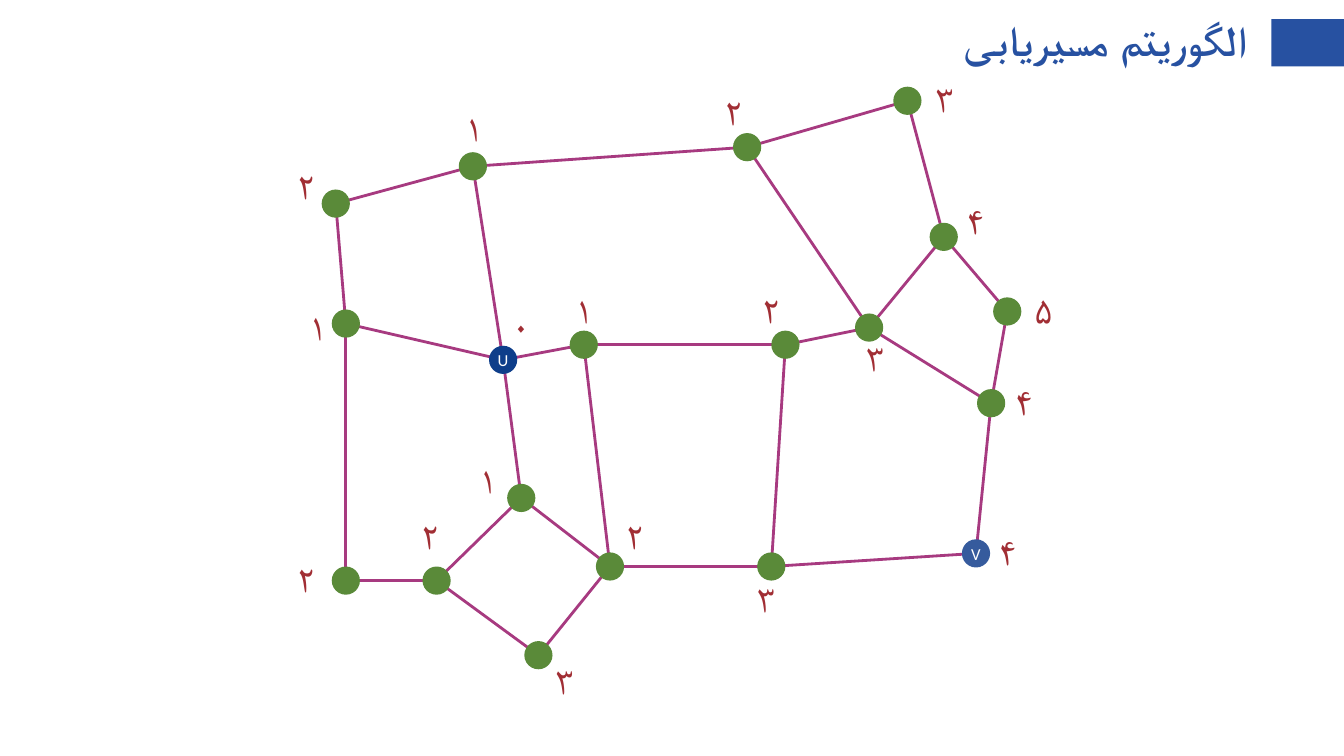
import pptx
import pptx.util
import pptx.dml.color
import pptx.enum.shapes
import pptx.enum.text
import pptx.oxml
import pptx.oxml.ns

# Content: positions are columns and rows of a grid with 0.1 inch cells
TITLE = "الگوریتم مسیریابی"
GREEN, BLUE, NAVY, SOFT_BLUE = "5A8A39", "2751A1", "0E3E8A", "365B9D"
PURPLE, RED, WHITE = "A73A80", "A12E34", "FFFFFF"

# name: (column, row, distance from U, label column offset, label row offset)
NODES = {
    "right": (98.3, 40, "۴", 3.3, 0),
    "hub": (86.2, 32.5, "۳", 0.6, 3.2),
    "upper middle": (74.1, 14.6, "۲", -1.3, -3.3),
    "north": (46.9, 16.5, "۱", 0.1, -3.6),
    "top": (90, 10, "۳", 3.7, 0),
    "upper right": (93.6, 23.5, "۴", 3.2, -1.4),
    "northwest": (33.3, 20.2, "۲", -2.9, -1.6),
    "far right": (99.9, 30.9, "۵", 3.6, 0),
    "southeast": (60.5, 56.2, "۲", 2.5, -2.9),
    "lower middle": (76.5, 56.2, "۳", -0.5, 3.4),
    "middle": (77.9, 34.2, "۲", -1.4, -3.3),
    "east": (57.9, 34.2, "۱", 0, -3.3),
    "west": (34.3, 32.1, "۱", -2.8, 0.5),
    "southwest": (34.3, 57.6, "۲", -3.9, 0),
    "south": (51.7, 49.4, "۱", -3.3, -1.6),
    "inner southwest": (43.3, 57.6, "۲", -0.6, -4.3),
    "bottom": (53.4, 65, "۳", 2.6, 2.7),
    "U": (49.9, 35.7, "۰", 1.8, -3.1),
    "V": (96.8, 54.9, "۴", 3.2, 0),
}
ENDPOINT_FILLS = {"U": NAVY, "V": SOFT_BLUE}

# Each chain lists the nodes along a run of edges
CHAINS = [
    ("U", "north", "northwest", "west", "U"),
    ("north", "upper middle", "top", "upper right", "hub", "upper middle"),
    ("U", "east", "middle", "hub", "right", "V", "lower middle", "southeast"),
    ("upper right", "far right", "right"),
    ("middle", "lower middle"),
    ("east", "southeast", "south", "U"),
    ("southeast", "bottom", "inner southwest", "south"),
    ("west", "southwest", "inner southwest"),
]
NODE_SIZE = 2.8
LABEL_SIZE = (4, 6.6)


def cells(count):
    return pptx.util.Inches(count * 0.1)


def colour(value):
    return pptx.dml.color.RGBColor.from_string(value)


def box_around(column, row, width, height):
    return [cells(v) for v in (column - width / 2, row - height / 2, width, height)]


def add_filled(slide, kind, box, fill):
    shape = slide.shapes.add_shape(kind, *box)
    shape.shadow.inherit = False
    shape.fill.solid()
    shape.fill.fore_color.rgb = colour(fill)
    shape.line.fill.background()
    return shape


def write(shape, text, size, font, fill, align, inset=0.5, wrap=True):
    frame = shape.text_frame
    frame.auto_size = pptx.enum.text.MSO_AUTO_SIZE.NONE
    frame.word_wrap = wrap
    frame.vertical_anchor = pptx.enum.text.MSO_ANCHOR.MIDDLE
    frame.margin_left = frame.margin_right = cells(inset)
    frame.margin_top = frame.margin_bottom = cells(inset)
    paragraph = frame.paragraphs[0]
    paragraph.alignment = align
    run = paragraph.add_run()
    run.text = text
    run.font.size = pptx.util.Pt(size)
    run.font.name = font
    run.font.color.rgb = colour(fill)
    # Arabic script takes its typeface from the complex-script setting
    complex_font = pptx.oxml.parse_xml(
        f'<a:cs {pptx.oxml.ns.nsdecls("a")} typeface="{font}"/>')
    run.font._element.append(complex_font)
    return paragraph


def space(paragraph):
    paragraph.line_spacing = 0.9
    paragraph.space_before = pptx.util.Pt(9)


def add_edge(slide, start, end):
    points = [cells(v) for v in NODES[start][:2] + NODES[end][:2]]
    edge = slide.shapes.add_connector(
        pptx.enum.shapes.MSO_CONNECTOR.STRAIGHT, *points)
    edge.line.color.rgb = colour(PURPLE)
    edge.line.width = pptx.util.Pt(2)
    edge._element.spPr.append(pptx.oxml.parse_xml(
        f'<a:effectLst {pptx.oxml.ns.nsdecls("a")}/>'))


def main():
    presentation = pptx.Presentation()
    presentation.slide_width = pptx.util.Inches(13.33)
    presentation.slide_height = pptx.util.Inches(7.5)
    slide = presentation.slides.add_slide(presentation.slide_layouts[5])
    shape_kind = pptx.enum.shapes.MSO_SHAPE
    align = pptx.enum.text.PP_ALIGN

    # Title and the bar beside it
    title = slide.shapes.title
    title.left, title.top, title.width, title.height = [
        cells(v) for v in (9.2, 0.5, 115, 7.5)]
    paragraph = write(title, TITLE, 30.1, "Roboto", BLUE, align.RIGHT)
    paragraph.runs[0].font.bold = True
    paragraph._p.get_or_add_pPr().set("rtl", "1")
    space(paragraph)
    add_filled(slide, shape_kind.RECTANGLE,
               [cells(v) for v in (126.1, 1.9, 7.2, 4.7)], BLUE)

    # Edges lie behind the nodes
    for chain in CHAINS:
        for start, end in zip(chain, chain[1:]):
            add_edge(slide, start, end)

    # Nodes, the two endpoints lettered, each with its distance
    for name, (column, row, distance, right, down) in NODES.items():
        node = add_filled(slide, shape_kind.OVAL,
                          box_around(column, row, NODE_SIZE, NODE_SIZE),
                          ENDPOINT_FILLS.get(name, GREEN))
        if name in ENDPOINT_FILLS:
            write(node, name, 12, "Calibri", WHITE, align.CENTER, inset=0, wrap=False)
        label = slide.shapes.add_textbox(
            *box_around(column + right, row + down, *LABEL_SIZE))
        space(write(label, distance, 26.3, "Roboto", RED, align.CENTER))

    presentation.save("out.pptx")


if __name__ == "__main__":
    main()
